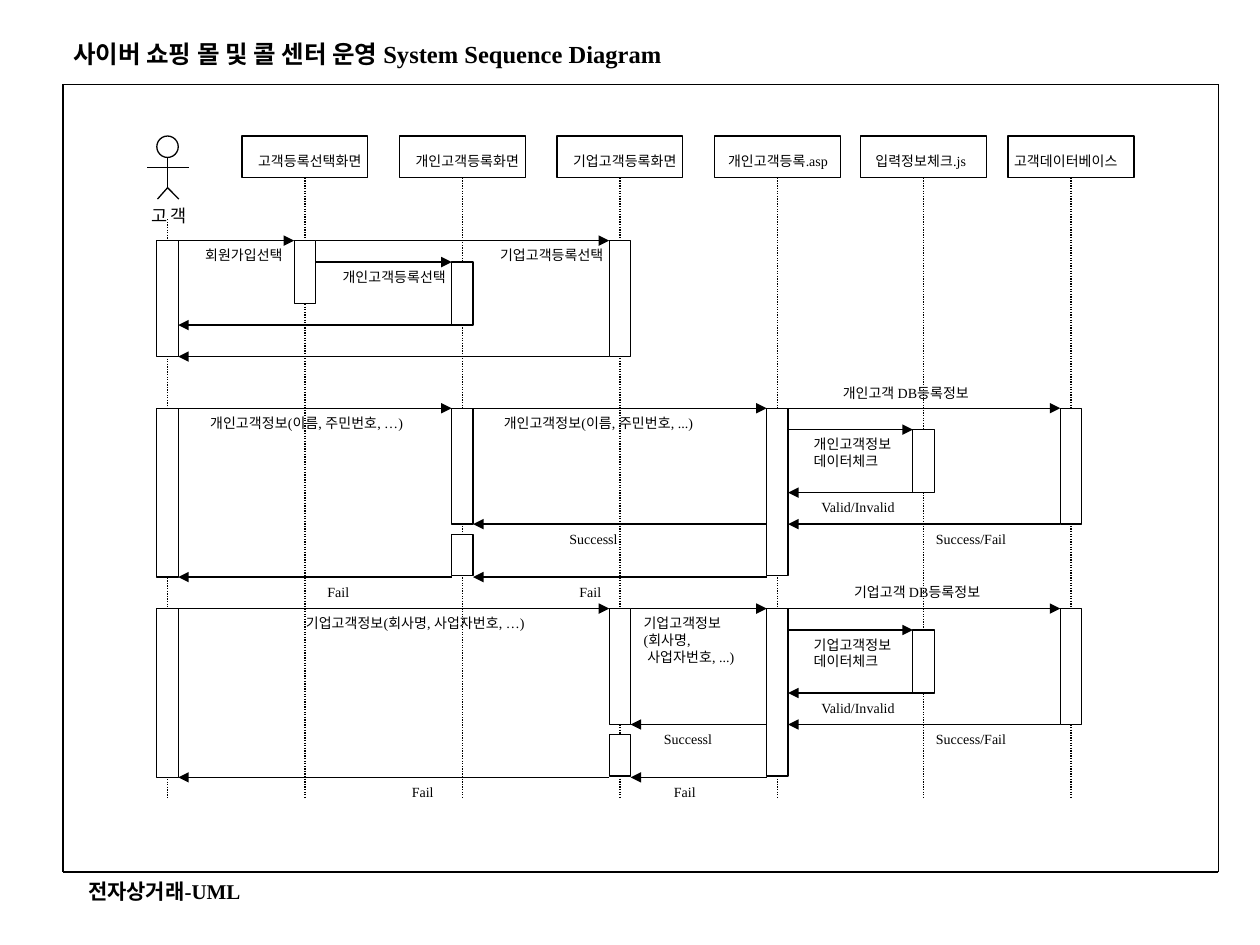
import pptx
import pptx.util
import pptx.dml.color
import pptx.enum.dml
import pptx.enum.shapes
import pptx.enum.text
import pptx.oxml.ns
from dataclasses import dataclass
from lxml import etree
from pptx.util import Inches, Pt


@dataclass(frozen=True)
class Theme:
    font: str = "Times New Roman"
    ink: pptx.dml.color.RGBColor = pptx.dml.color.RGBColor(0, 0, 0)
    paper: pptx.dml.color.RGBColor = pptx.dml.color.RGBColor(255, 255, 255)
    rule: float = 0.75
    title: int = 14
    footer: int = 12
    actor: int = 10
    label: int = 8


theme = Theme()
SHAPE = pptx.enum.shapes.MSO_SHAPE
qn = pptx.oxml.ns.qn

deck = pptx.Presentation()
deck.slide_width, deck.slide_height = Inches(10), Inches(7.5)
slide = deck.slides.add_slide(deck.slide_layouts[5])


def write(box, lines, size, bold=False):
    frame = box.text_frame
    frame.word_wrap = True
    frame.auto_size = pptx.enum.text.MSO_AUTO_SIZE.NONE
    frame.margin_right = 0
    frame.vertical_anchor = pptx.enum.text.MSO_ANCHOR.TOP
    for index, line in enumerate(lines):
        paragraph = frame.add_paragraph() if index else frame.paragraphs[0]
        paragraph.alignment = pptx.enum.text.PP_ALIGN.LEFT
        run = paragraph.add_run()
        run.text = line
        run.font.name = theme.font
        run.font.size = Pt(size)
        run.font.bold = bold
        run.font.color.rgb = theme.ink
    return frame


def draw_line(x1, y1, x2, y2, dotted=False, arrow=False):
    line = slide.shapes.add_connector(
        pptx.enum.shapes.MSO_CONNECTOR.STRAIGHT,
        Inches(x1), Inches(y1), Inches(x2), Inches(y2))
    line.line.color.rgb = theme.ink
    line.line.width = Pt(theme.rule)
    if dotted:
        line.line.dash_style = pptx.enum.dml.MSO_LINE.ROUND_DOT
    properties = line._element.spPr
    if arrow:
        etree.SubElement(properties.find(qn("a:ln")), qn("a:tailEnd"), type="triangle")
    etree.SubElement(properties, qn("a:effectLst"))


title = slide.shapes.title
title.left, title.top = Inches(0.48), Inches(0.26)
title.width, title.height = Inches(4.92), Inches(0.34)
write(title, ["사이버 쇼핑 몰 및 콜 센터 운영 System Sequence Diagram"], theme.title, bold=True)

CUSTOMER, CHOICE, PERSONAL, COMPANY, ASP, CHECK, DATABASE = range(7)
lifelines = [1.33, 2.42, 3.67, 4.92, 6.17, 7.33, 8.5]
bar_width = 0.17
half_bar = bar_width / 2
header_top, header_height = 1.08, 0.33
lifeline_end = 6.33

bars = [(CUSTOMER, 1.91, 0.92), (CHOICE, 1.91, 0.5), (PERSONAL, 2.08, 0.5), (COMPANY, 1.91, 0.92)]
messages = [
    (CUSTOMER, CHOICE, 1.91), (CHOICE, COMPANY, 1.91), (CHOICE, PERSONAL, 2.08),
    (PERSONAL, CUSTOMER, 2.58), (COMPANY, CUSTOMER, 2.83),
]
labels = [
    (1.95, 1.16, 1.02, 0.24, ["고객등록선택화면"]),
    (3.2, 1.16, 1.02, 0.24, ["개인고객등록화면"]),
    (4.45, 1.16, 1.02, 0.24, ["기업고객등록화면"]),
    (5.68, 1.16, 1.02, 0.24, ["개인고객등록.asp"]),
    (6.85, 1.16, 0.94, 0.24, ["입력정보체크.js"]),
    (7.95, 1.16, 1.02, 0.24, ["고객데이터베이스"]),
    (1.53, 1.91, 0.81, 0.24, ["회원가입선택"]),
    (3.87, 1.91, 1.02, 0.24, ["기업고객등록선택"]),
    (2.62, 2.08, 1.02, 0.24, ["개인고객등록선택"]),
    (1.57, 3.24, 1.86, 0.24, ["개인고객정보(이름, 주민번호, …)"]),
    (3.9, 3.24, 1.83, 0.24, ["개인고객정보(이름, 주민번호, ...)"]),
    (6.59, 3, 1.25, 0.24, ["개인고객 DB등록정보"]),
    (2.33, 4.83, 2.07, 0.24, ["기업고객정보(회사명, 사업자번호, …)"]),
    (6.68, 4.58, 1.25, 0.24, ["기업고객 DB등록정보"]),
]

registrations = [
    (PERSONAL, 3.24, "개인고객정보", 4.42, 4.5, 2.5),
    (COMPANY, 4.83, "기업고객정보", 5.17, 5.25, 3.17),
]
for screen, top, data, success_left, asp_fail_left, screen_fail_left in registrations:
    checked, answered, failed = top + 0.67, top + 0.92, top + 1.34
    bars += [
        (CUSTOMER, top, 1.34), (screen, top, 0.92), (screen, top + 1, 0.33),
        (ASP, top, 1.33), (CHECK, top + 0.17, 0.5), (DATABASE, top, 0.92),
    ]
    messages += [
        (CUSTOMER, screen, top), (screen, ASP, top), (ASP, DATABASE, top),
        (ASP, CHECK, top + 0.17), (CHECK, ASP, checked), (DATABASE, ASP, answered),
        (ASP, screen, answered), (ASP, screen, failed), (screen, CUSTOMER, failed),
    ]
    labels += [
        (6.36, top + 0.17, 0.81, 0.37, [data, "데이터체크"]),
        (6.42, checked, 0.79, 0.24, ["Valid/Invalid"]),
        (7.33, answered, 0.76, 0.24, ["Success/Fail"]),
        (success_left, answered, 0.58, 0.24, ["Successl"]),
        (asp_fail_left, failed, 0.37, 0.24, ["Fail"]),
        (screen_fail_left, failed, 0.37, 0.24, ["Fail"]),
    ]

frame_corners = [(0.5, 0.67), (9.67, 0.67), (9.67, 6.92), (0.5, 6.92)]
for start, end in zip(frame_corners, frame_corners[1:] + frame_corners[:1]):
    draw_line(*start, *end)

actor_x = lifelines[CUSTOMER]
for limb in [
    (actor_x, 1.24, actor_x, 1.49), (1.17, 1.33, 1.5, 1.33),
    (actor_x, 1.49, 1.25, 1.58), (actor_x, 1.49, 1.42, 1.58),
]:
    draw_line(*limb)

for index, x in enumerate(lifelines):
    start = 1.74 if index == CUSTOMER else header_top + header_height
    draw_line(x, start, x, lifeline_end, dotted=True)

outlines = [(SHAPE.OVAL, actor_x - half_bar, header_top, bar_width, bar_width)]
outlines += [(SHAPE.RECTANGLE, x - 0.5, header_top, 1, header_height) for x in lifelines[1:]]
outlines += [(SHAPE.RECTANGLE, lifelines[owner] - half_bar, top, bar_width, height)
             for owner, top, height in bars]
for kind, left, top, width, height in outlines:
    outline = slide.shapes.add_shape(kind, Inches(left), Inches(top), Inches(width), Inches(height))
    outline.shadow.inherit = False
    outline.fill.solid()
    outline.fill.fore_color.rgb = theme.paper
    outline.line.color.rgb = theme.ink
    outline.line.width = Pt(theme.rule)

for sender, receiver, y in messages:
    toward = half_bar if receiver > sender else -half_bar
    draw_line(lifelines[sender] + toward, y, lifelines[receiver] - toward, y, arrow=True)

captions = [(*label, theme.label, False) for label in labels]
captions += [
    (1.1, 1.58, 0.48, 0.27, ["고 객"], theme.actor, False),
    (0.6, 6.92, 1.45, 0.3, ["전자상거래-UML"], theme.footer, True),
]
for left, top, width, height, lines, size, bold in captions:
    caption = slide.shapes.add_textbox(Inches(left), Inches(top), Inches(width), Inches(height))
    write(caption, lines, size, bold)

company_data = slide.shapes.add_textbox(Inches(5.01), Inches(4.83), Inches(0.94), Inches(0.5))
company_frame = write(company_data, ["기업고객정보", "(회사명,", "사업자번호, ...)"], theme.label)
company_frame.paragraphs[2]._p.get_or_add_pPr().set("marL", str(Inches(0.03)))

deck.save("out.pptx")
